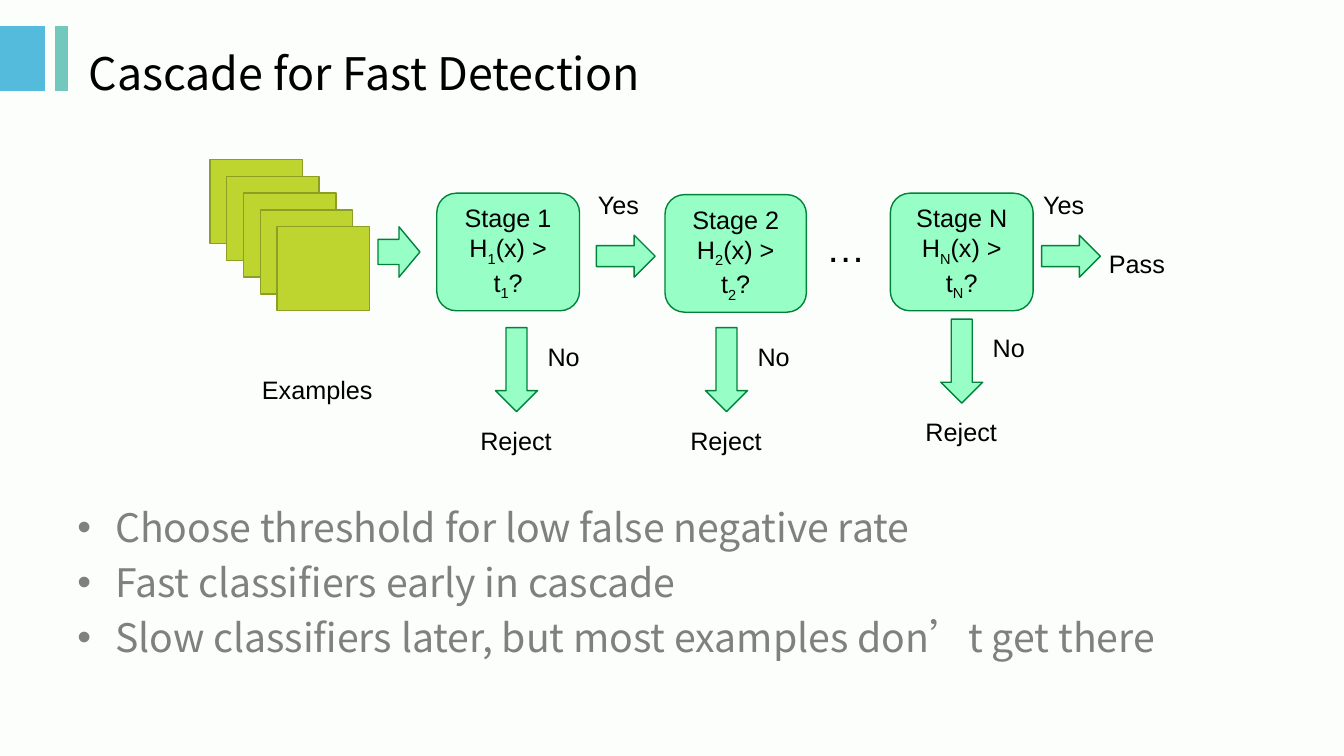
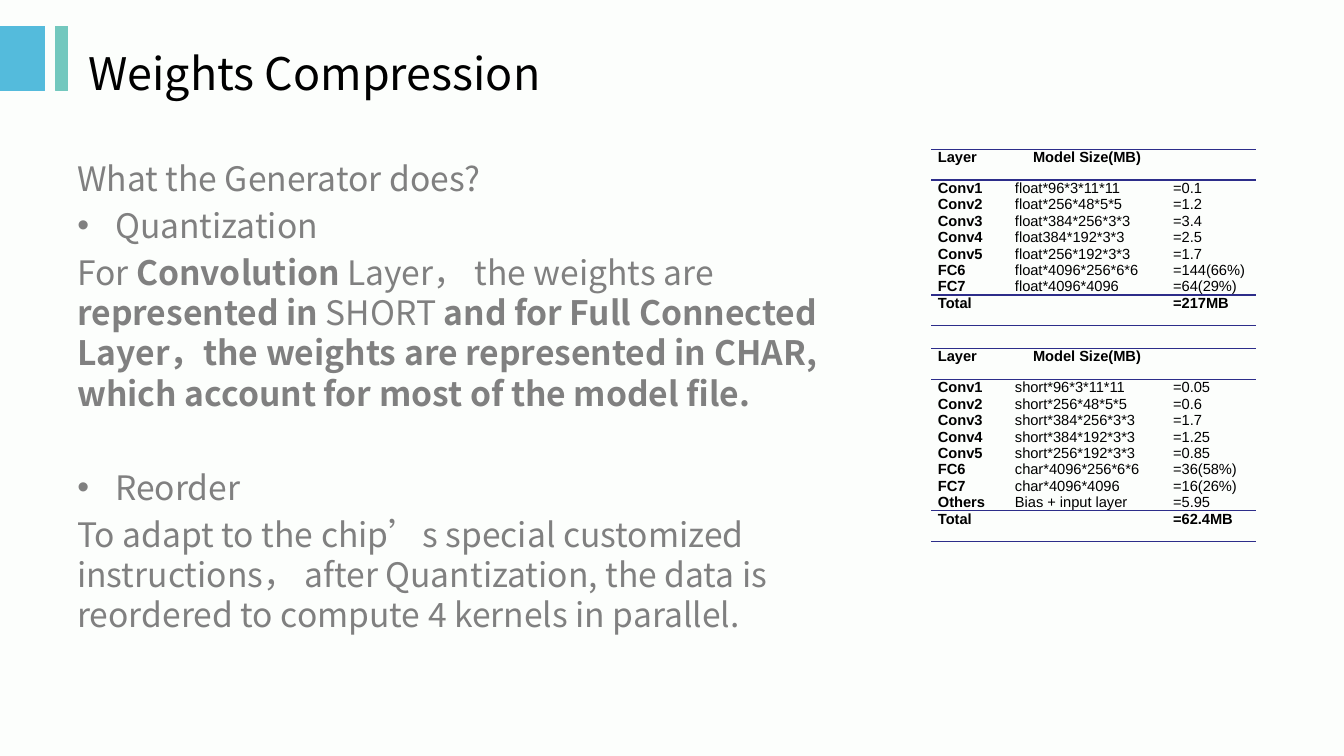
from lxml import etree
from pptx import Presentation
from pptx import util as u
from pptx.dml import color
from pptx.enum import shapes as kinds, text as t
from pptx.oxml import ns

COLORS = {
    "page": "FCFEFC", "blue": "54BBDC", "teal": "73C8BE", "black": "000000",
    "grey": "808080", "lime": "BED52F", "olive": "8D9E23", "mint": "97FFC6",
    "green": "00823B", "navy": "2D2D8A",
}
FONTS = {"text": "Noto Sans CJK SC", "diagram": "Arial"}
PLAIN_TABLE = "{2D5ABB26-0587-4C30-8999-92F81FD0307C}"
SHAPE = kinds.MSO_SHAPE
ALIGN = t.PP_ALIGN
BULLET_INDENT = 27
TITLE_BOX = (56, 18.7, 855, 66)


def rgb(name):
    """Return a named colour."""
    return color.RGBColor.from_string(COLORS[name])


def points(*lengths):
    """Convert numbers to lengths in points."""
    return [u.Pt(length) for length in lengths]


def assign(target, formats):
    """Set attributes of a target from a dict."""
    for name, value in formats.items():
        setattr(target, name, value)


def place(shape, box):
    """Move and size a shape."""
    assign(shape, dict(zip(("left", "top", "width", "height"), points(*box))))


def add_child(parent, tag, **attributes):
    """Append an XML child with attributes."""
    return etree.SubElement(parent, ns.qn(tag), attributes)


def add_run(paragraph, words, size, font, shade, bold=False, baseline=0):
    """Add one formatted run."""
    run = paragraph.add_run()
    run.text = words
    assign(run.font, {"size": u.Pt(size), "name": font, "bold": bold})
    run.font.color.rgb = rgb(shade)
    properties = run.font._element
    add_child(properties, "a:ea", typeface=font)
    if baseline:
        properties.set("baseline", str(baseline * 1000))


def add_filled(shapes, kind, box, fill, line, width=1):
    """Add a preset shape with fill and outline."""
    shape = shapes.add_shape(kind, *points(*box))
    shape.shadow.inherit = False
    shape.fill.solid()
    shape.fill.fore_color.rgb = rgb(fill)
    shape.line.color.rgb = rgb(line)
    shape.line.width = u.Pt(width)
    return shape


def add_label(shapes, words, left, top, width, size=18, height=29):
    """Add a one-line diagram label."""
    frame = shapes.add_textbox(*points(left, top, width, height)).text_frame
    assign(frame, {"word_wrap": False, "auto_size": t.MSO_AUTO_SIZE.SHAPE_TO_FIT_TEXT})
    add_run(frame.paragraphs[0], words, size, FONTS["diagram"], "black")


def set_up_theme(presentation, layout):
    """Give the layout its background, title place and colour bands."""
    fill = presentation.slide_master.background.fill
    fill.solid()
    fill.fore_color.rgb = rgb("page")
    place(layout.placeholders[0], TITLE_BOX)


def add_bands(layout, slide):
    """Draw the two title bands and hand them to the layout."""
    bands = ((0, 32, "blue"), (40, 8.5, "teal"))
    for number, (left, width, shade) in enumerate(bands, 100):
        band = add_filled(slide.shapes, SHAPE.RECTANGLE, (left, 18.7, width, 46), shade, shade, 0.75)
        band.element.nvSpPr.cNvPr.set("id", str(number))
        layout.shapes.element.append(band.element)


def add_title(slide, words):
    """Fill the title placeholder."""
    frame = slide.shapes.title.text_frame
    assign(frame, {"vertical_anchor": t.MSO_ANCHOR.MIDDLE, "auto_size": t.MSO_AUTO_SIZE.NONE})
    paragraph = frame.paragraphs[0]
    paragraph.alignment = ALIGN.LEFT
    add_run(paragraph, words, 32, FONTS["text"], "black")


def add_body(slide, box, items, size):
    """Fill the body placeholder with (bulleted, extra lines before, runs) items."""
    body = slide.placeholders[1]
    place(body, box)
    frame = body.text_frame
    assign(frame, {"vertical_anchor": t.MSO_ANCHOR.TOP, "auto_size": t.MSO_AUTO_SIZE.NONE})
    leading, gap = 1.2 * size, 0.2 * size
    for index, (bulleted, extra, runs) in enumerate(items):
        paragraph = frame.add_paragraph() if index else frame.paragraphs[0]
        before = gap + extra * (leading + gap) if index else 0
        assign(paragraph, {"alignment": ALIGN.LEFT, "line_spacing": u.Pt(leading),
                           "space_before": u.Pt(before), "space_after": u.Pt(0)})
        indent = u.Pt(BULLET_INDENT) if bulleted else 0
        properties = paragraph._p.get_or_add_pPr()
        properties.set("marL", str(indent))
        properties.set("indent", str(-indent))
        if bulleted:
            add_child(properties, "a:buFont", typeface="Arial")
            add_child(properties, "a:buChar", char="•")
        else:
            add_child(properties, "a:buNone")
        for words, bold in runs:
            add_run(paragraph, words, size, FONTS["text"], "grey", bold)


def add_stage(shapes, box, name, down, across):
    """Draw a stage with its reject branch and, if any, its Yes arrow."""
    left, top, width, height = box
    stage = add_filled(shapes, SHAPE.ROUNDED_RECTANGLE, box, "mint", "green")
    frame = stage.text_frame
    assign(frame, {"word_wrap": True, "vertical_anchor": t.MSO_ANCHOR.MIDDLE})
    lines = ([(f"Stage {name}", 0)],
             [("H", 0), (name, -25), ("(x) > t", 0), (name, -25), ("?", 0)])
    for index, runs in enumerate(lines):
        paragraph = frame.add_paragraph() if index else frame.paragraphs[0]
        paragraph.alignment = ALIGN.CENTER
        for words, baseline in runs:
            add_run(paragraph, words, 18, FONTS["diagram"], "black", baseline=baseline)
    x, y = left + down[0], top + down[1]
    add_filled(shapes, SHAPE.DOWN_ARROW, (x, y, 30, 60), "mint", "green")
    add_label(shapes, "No", x + 30, y + 6, 37.5)
    add_label(shapes, "Reject", x - 18, y + 66, 66)
    if across:
        x = left + across
        add_filled(shapes, SHAPE.RIGHT_ARROW, (x, top + 30, 42, 30), "mint", "green")
        add_label(shapes, "Yes", x - 6, top - 6, 44)


def add_cascade(slide, left, top):
    """Draw the cascade diagram from its top left corner."""
    shapes = slide.shapes.add_group_shape().shapes
    for step in range(5):
        card = (left + 12 * step, top + 12 * step, 66, 60)
        add_filled(shapes, SHAPE.RECTANGLE, card, "lime", "olive")
    add_label(shapes, "Examples", left + 30, top + 150, 94)
    add_filled(shapes, SHAPE.RIGHT_ARROW, (left + 120, top + 48, 30, 36), "mint", "green")
    stages = (
        ("1", 162, 24, 102, (42, 96), 114),
        ("2", 325, 25, 101, (29, 95), None),
        ("N", 486, 24, 102, (36, 90), 108),
    )
    for name, x, y, width, down, across in stages:
        add_stage(shapes, (left + x, top + y, width, 84), name, down, across)
    add_label(shapes, "…", left + 433, top + 42, 43, 28, 41)
    add_label(shapes, "Pass", left + 635, top + 60, 55)


def add_rules(cell):
    """Rule the top and bottom of a table cell."""
    properties = cell._tc.get_or_add_tcPr()
    for tag in ("a:lnT", "a:lnB"):
        line = add_child(properties, tag, w=str(u.Pt(1)))
        add_child(add_child(line, "a:solidFill"), "a:srgbClr", val=COLORS["navy"])


def add_size_table(slide, left, top, layers, total):
    """Add a table of layer sizes with ruled header and total."""
    rows = [("Layer", "Model Size(MB)", ""), *layers, ("Total", "", total)]
    widths, pitch = (55, 113, 64), 11.7
    frame = slide.shapes.add_table(
        len(rows), 3, *points(left, top, sum(widths), pitch * len(rows)))
    table = frame.table
    assign(table, {"first_row": False, "horz_banding": False})
    for style in frame.element.iter(ns.qn("a:tableStyleId")):
        style.text = PLAIN_TABLE
    for column, width in zip(table.columns, widths):
        column.width = u.Pt(width)
    for row_index, row in enumerate(rows):
        table.rows[row_index].height = u.Pt(pitch)
        ruled = row_index in (0, len(rows) - 1)
        for column_index, words in enumerate(row):
            cell = table.cell(row_index, column_index)
            assign(cell, {"margin_left": u.Pt(5), "margin_right": u.Pt(5),
                          "margin_top": 0, "margin_bottom": 0})
            if ruled:
                add_rules(cell)
            cell.fill.background()
            paragraph = cell.text_frame.paragraphs[0]
            centred = row_index == 0 and column_index == 1
            assign(paragraph, {"alignment": ALIGN.CENTER if centred else ALIGN.JUSTIFY,
                               "line_spacing": u.Pt(pitch)})
            if words:
                add_run(paragraph, words, 10.5, FONTS["diagram"], "black",
                        ruled or column_index == 0)


def build_cascade_slide(slide):
    """Build the slide on cascaded detection."""
    add_title(slide, "Cascade for Fast Detection")
    add_cascade(slide, 150, 114)
    lines = ("Choose threshold for low false negative rate",
             "Fast classifiers early in cascade",
             "Slow classifiers later, but most examples don’t get there")
    add_body(slide, (48, 356, 864, 126), [(True, 0, [(line, False)]) for line in lines], 28)


def build_compression_slide(slide):
    """Build the slide on weight compression."""
    add_title(slide, "Weights Compression")
    add_body(slide, (48, 109, 600, 374), [
        (False, 0, [("What the Generator does?", False)]),
        (True, 0, [("Quantization", False)]),
        (False, 0, [
            ("For ", False), ("Convolution", True), (" Layer， the weights are ", False),
            ("represented in ", True), ("SHORT", False),
            (" and for Full Connected Layer，the weights are represented in CHAR, "
             "which account for most of the model file.", True)]),
        (True, 1, [("Reorder", False)]),
        (False, 0, [("To adapt to the chip’s special customized instructions， after "
                     "Quantization, the data is reordered to compute 4 kernels in parallel.",
                     False)]),
    ], 24)
    add_size_table(slide, 665, 106.6, [
        ("Conv1", "float*96*3*11*11", "=0.1"),
        ("Conv2", "float*256*48*5*5", "=1.2"),
        ("Conv3", "float*384*256*3*3", "=3.4"),
        ("Conv4", "float384*192*3*3", "=2.5"),
        ("Conv5", "float*256*192*3*3", "=1.7"),
        ("FC6", "float*4096*256*6*6", "=144(66%)"),
        ("FC7", "float*4096*4096", "=64(29%)"),
    ], "=217MB")
    add_size_table(slide, 665, 249, [
        ("Conv1", "short*96*3*11*11", "=0.05"),
        ("Conv2", "short*256*48*5*5", "=0.6"),
        ("Conv3", "short*384*256*3*3", "=1.7"),
        ("Conv4", "short*384*192*3*3", "=1.25"),
        ("Conv5", "short*256*192*3*3", "=0.85"),
        ("FC6", "char*4096*256*6*6", "=36(58%)"),
        ("FC7", "char*4096*4096", "=16(26%)"),
        ("Others", "Bias + input layer", "=5.95"),
    ], "=62.4MB")


def main():
    """Build and save the presentation."""
    presentation = Presentation()
    assign(presentation, {"slide_width": u.Pt(960), "slide_height": u.Pt(540)})
    layout = presentation.slide_layouts[1]
    set_up_theme(presentation, layout)
    cascade, compression = (presentation.slides.add_slide(layout) for _ in range(2))
    add_bands(layout, cascade)
    build_cascade_slide(cascade)
    build_compression_slide(compression)
    presentation.save("out.pptx")


if __name__ == "__main__":
    main()
